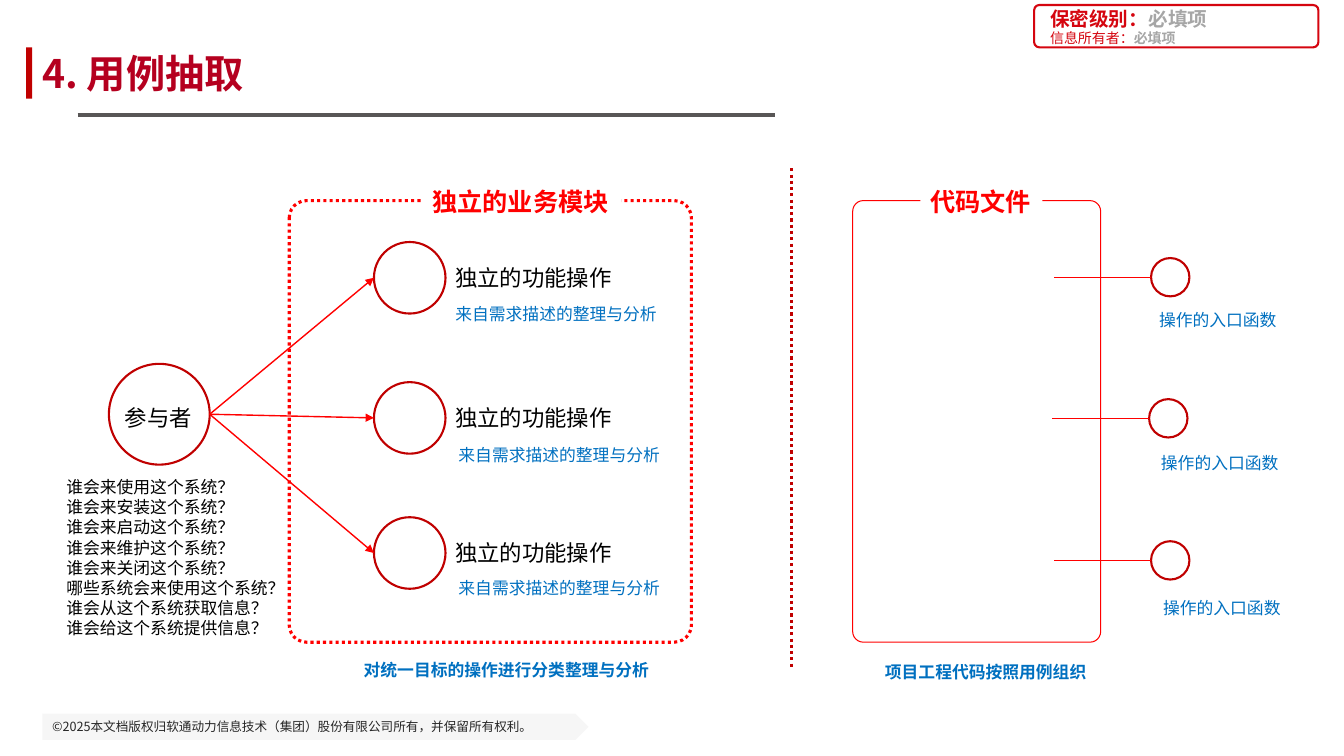
import pptx
import pptx.dml.color
import pptx.enum.dml
import pptx.enum.shapes
import pptx.enum.text
import pptx.oxml
import pptx.oxml.ns
import pptx.util
from lxml import etree

Pt = pptx.util.Pt
RGBColor = pptx.dml.color.RGBColor
SHAPE = pptx.enum.shapes.MSO_SHAPE
MIDDLE = pptx.enum.text.MSO_ANCHOR.MIDDLE
LEFT = pptx.enum.text.PP_ALIGN.LEFT
DOTTED = pptx.enum.dml.MSO_LINE.ROUND_DOT
qn = pptx.oxml.ns.qn

FONT = "Noto Sans CJK SC"
BLACK = RGBColor(0x00, 0x00, 0x00)
WHITE = RGBColor(0xFF, 0xFF, 0xFF)
RED = RGBColor(0xFF, 0x00, 0x00)
DARK_RED = RGBColor(0xC0, 0x00, 0x00)
BADGE_RED = RGBColor(0xD5, 0x05, 0x0F)
TITLE_RED = RGBColor(0xB5, 0x00, 0x1F)
BLUE = RGBColor(0x00, 0x70, 0xC0)
GREY = RGBColor(0xA6, 0xA6, 0xA6)
RULE_GREY = RGBColor(0x58, 0x56, 0x56)
FOOTER_GREY = RGBColor(0xD5, 0xD5, 0xD5)
FOOTER_TEXT = RGBColor(0x26, 0x26, 0x26)

TITLE = "4. 用例抽取"
FOOTER = "©2025本文档版权归软通动力信息技术（集团）股份有限公司所有，并保留所有权利。"
REQUIRED = "必填项"
# label, size, top, label bold, value bold
BADGE_LINES = [
    ("保密级别：", 14, 5.8, True, True),
    ("信息所有者：", 10, 20.2, False, True),
]
ACTOR = "参与者"
ACTOR_QUESTIONS = [
    "谁会来使用这个系统？",
    "谁会来安装这个系统？",
    "谁会来启动这个系统？",
    "谁会来维护这个系统？",
    "谁会来关闭这个系统？",
    "哪些系统会来使用这个系统？",
    "谁会从这个系统获取信息？",
    "谁会给这个系统提供信息？",
]
OPERATION = "独立的功能操作"
OPERATION_SOURCE = "来自需求描述的整理与分析"
ENTRY = "操作的入口函数"
# operation centre y, source left, source top
OPERATIONS = [(198.4, 318.2, 213.1), (298.5, 320.4, 313.9), (395, 320.4, 409)]
# circle left, centre y, label left, label top
ENTRIES = [
    (822.2, 198, 820.8, 217.4),
    (820.8, 298.8, 822.2, 319.7),
    (822.2, 400.3, 823.7, 423.4),
]
# frame left, frame width, line width, dash, heading, heading left, heading width
FRAMES = [
    (206.6, 287.3, 2.25, DOTTED, "独立的业务模块", 301.7, 141.8),
    (609.1, 177.1, 0.75, None, "代码文件", 657.4, 87.1),
]
# text, left, top, width
CAPTIONS = [
    ("对统一目标的操作进行分类整理与分析", 252.7, 468, 220.3),
    ("项目工程代码按照用例组织", 625, 469.4, 159.8),
]
FRAME_TOP, FRAME_HEIGHT = 143.3, 315.4
ACTOR_LEFT, ACTOR_TOP, ACTOR_SIZE = 77.8, 259.9, 72
OPERATION_LEFT, OPERATION_SIZE = 267.1, 51.1
ENTRY_SIZE, ENTRY_LINE = 27.4, 69.1


def style_run(run, size, color, bold=False):
    run.font.name = FONT
    run.font.size = Pt(size)
    run.font.bold = bold
    run.font.color.rgb = color
    east_asian = etree.SubElement(run.font._element, qn("a:ea"))
    east_asian.set("typeface", FONT)


def write(shape, lines, size, color, bold=False, wrap=False):
    frame = shape.text_frame
    frame.text = "\n".join(lines)
    frame.word_wrap = wrap
    for paragraph in frame.paragraphs:
        paragraph.alignment = LEFT
        for run in paragraph.runs:
            style_run(run, size, color, bold)


def add_text(slide, text, left, top, width, height, size, color, bold=False):
    box = slide.shapes.add_textbox(Pt(left), Pt(top), Pt(width), Pt(height))
    write(box, [text], size, color, bold)
    return box


def add_outline(slide, kind, left, top, width, height, fill=None, line=None, line_width=1.5):
    shape = slide.shapes.add_shape(kind, Pt(left), Pt(top), Pt(width), Pt(height))
    shape.shadow.inherit = False
    if fill is None:
        shape.fill.background()
    else:
        shape.fill.solid()
        shape.fill.fore_color.rgb = fill
    if line is None:
        shape.line.fill.background()
    else:
        shape.line.color.rgb = line
        shape.line.width = Pt(line_width)
    return shape


def add_line(slide, start, end, color, width, dash=None, arrow=False):
    connector = slide.shapes.add_connector(
        pptx.enum.shapes.MSO_CONNECTOR.STRAIGHT, *(Pt(value) for value in start + end))
    connector.line.color.rgb = color
    connector.line.width = Pt(width)
    if dash:
        connector.line.dash_style = dash
    properties = connector._element.spPr
    if arrow:
        etree.SubElement(properties.find(qn("a:ln")), qn("a:tailEnd")).set("type", "triangle")
    etree.SubElement(properties, qn("a:effectLst"))


def add_page_furniture(slide):
    footer = add_outline(slide, SHAPE.PENTAGON, 30.2, 509.8, 390.2, 18.7, fill=FOOTER_GREY)
    color = footer.fill._xPr.find(qn("a:solidFill"))[0]
    etree.SubElement(color, qn("a:alpha")).set("val", "20000")
    write(footer, [FOOTER], 9, FOOTER_TEXT, wrap=True)
    footer.text_frame.vertical_anchor = MIDDLE

    add_outline(slide, SHAPE.RECTANGLE, 18.7, 33.8, 4.3, 36.7, fill=DARK_RED)
    badge = add_outline(slide, SHAPE.ROUNDED_RECTANGLE, 738.7, 3.6, 203, 30.2, line=BADGE_RED)
    badge.adjustments[0] = 0.12
    for label, size, top, label_bold, value_bold in BADGE_LINES:
        box = add_text(slide, label, 743, top, 193, 14.4, size, BADGE_RED, label_bold)
        box.text_frame.word_wrap = True
        box.text_frame.vertical_anchor = MIDDLE
        value = box.text_frame.paragraphs[0].add_run()
        value.text = REQUIRED
        style_run(value, size, GREY, value_bold)

    title = slide.shapes.title
    title.left, title.top, title.width, title.height = Pt(30.2), Pt(30.2), Pt(689), Pt(43.9)
    write(title, [TITLE], 28, TITLE_RED, bold=True, wrap=True)
    title.text_frame.margin_left = title.text_frame.margin_right = 0
    title.text_frame.vertical_anchor = MIDDLE
    title.text_frame.paragraphs[0].space_after = Pt(6)
    add_line(slide, (55.4, 82.1), (553.7, 82.1), RULE_GREY, 3)


def add_frames(slide):
    for left, width, line_width, dash, heading, heading_left, heading_width in FRAMES:
        frame = add_outline(slide, SHAPE.ROUNDED_RECTANGLE, left, FRAME_TOP, width,
                            FRAME_HEIGHT, line=RED, line_width=line_width)
        frame.adjustments[0] = 0.043
        if dash:
            frame.line.dash_style = dash
        label = add_outline(slide, SHAPE.RECTANGLE, heading_left, 129.6, heading_width, 28.8,
                            fill=WHITE)
        write(label, [heading], 18, RED, bold=True)
    for text, left, top, width in CAPTIONS:
        add_text(slide, text, left, top, width, 21.6, 12, BLUE, bold=True)
    add_line(slide, (565.2, 120.2), (565.2, 477.4), DARK_RED, 2.25, DOTTED)


def add_use_cases(slide):
    add_outline(slide, SHAPE.OVAL, ACTOR_LEFT, ACTOR_TOP, ACTOR_SIZE, ACTOR_SIZE, line=DARK_RED)
    add_text(slide, ACTOR, 82.1, 285.1, 63.4, 26.6, 16, BLACK)
    questions = slide.shapes.add_textbox(Pt(40.3), Pt(337), Pt(184.3), Pt(123.8))
    write(questions, ACTOR_QUESTIONS, 12, BLACK, wrap=True)

    actor_side = (ACTOR_LEFT + ACTOR_SIZE, ACTOR_TOP + ACTOR_SIZE / 2)
    for center, source_left, source_top in OPERATIONS:
        add_outline(slide, SHAPE.OVAL, OPERATION_LEFT, center - OPERATION_SIZE / 2,
                    OPERATION_SIZE, OPERATION_SIZE, line=DARK_RED)
        add_line(slide, actor_side, (OPERATION_LEFT, center), RED, 1, arrow=True)
        add_text(slide, OPERATION, 318.2, center - 13.6, 127.4, 26.6, 16, BLACK)
        add_text(slide, OPERATION_SOURCE, source_left, source_top, 159.8, 21.6, 12, BLUE)


def add_entry_functions(slide):
    for left, center, label_left, label_top in ENTRIES:
        add_outline(slide, SHAPE.OVAL, left, center - ENTRY_SIZE / 2, ENTRY_SIZE, ENTRY_SIZE,
                    line=DARK_RED)
        add_line(slide, (left, center), (left - ENTRY_LINE, center), RED, 0.5)
        add_text(slide, ENTRY, label_left, label_top, 99.4, 21.6, 12, BLUE)


def main():
    presentation = pptx.Presentation()
    presentation.slide_width, presentation.slide_height = Pt(960), Pt(540)
    slide = presentation.slides.add_slide(presentation.slide_layouts[5])
    add_page_furniture(slide)
    add_frames(slide)
    add_use_cases(slide)
    add_entry_functions(slide)
    presentation.save("out.pptx")


if __name__ == "__main__":
    main()
